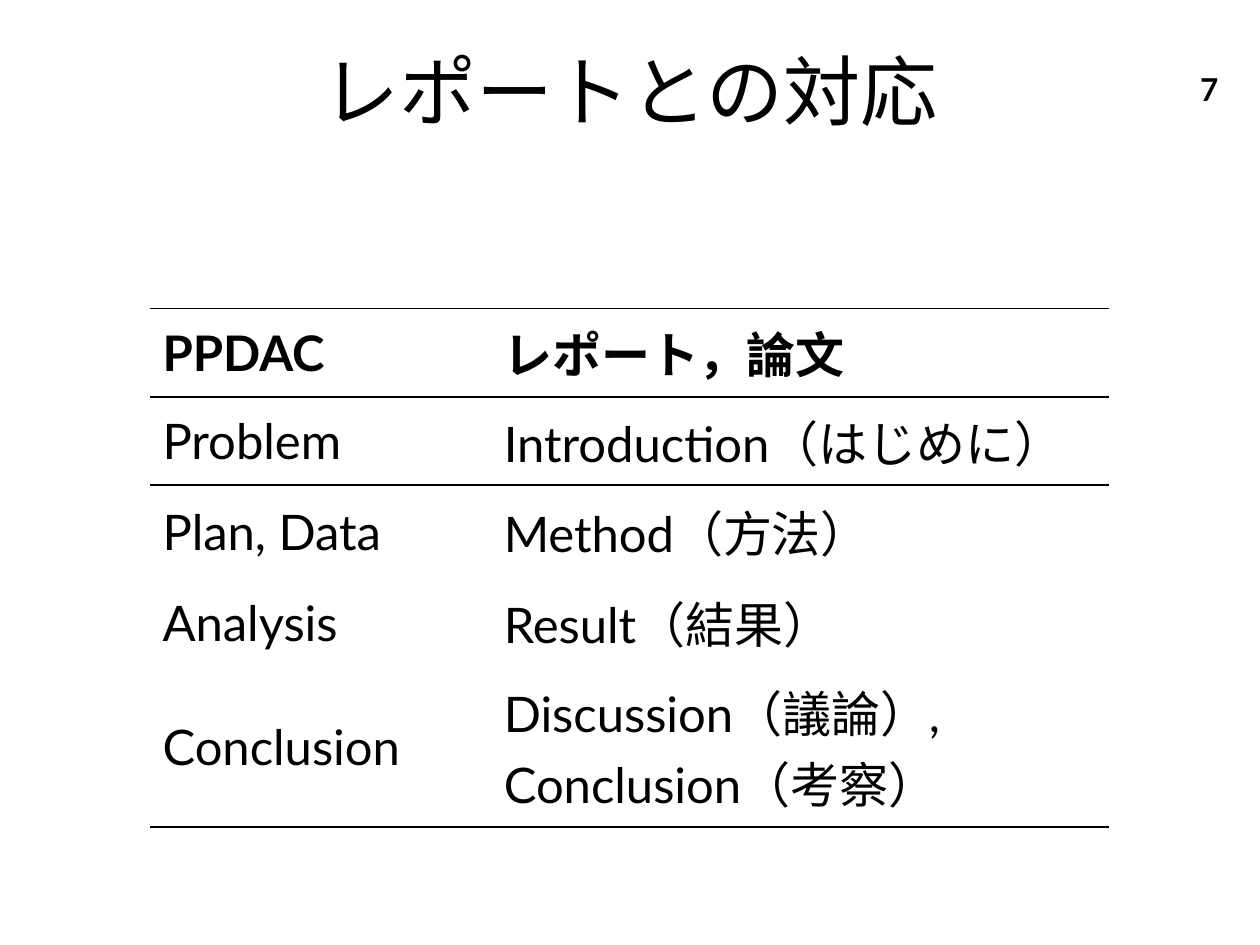
"""Build a slide that matches PPDAC steps to the sections of a report."""
from lxml import etree
from pptx import Presentation
from pptx import util as u
from pptx.dml import color
from pptx.enum import text
from pptx.oxml import ns

Pt = u.Pt
BLACK, WHITE = "000000", "FFFFFF"
PLAIN_STYLE = "{2D5ABB26-0587-4C30-8999-92F81FD0307C}"
ROWS = [
    ("PPDAC", "レポート，論文"),
    ("Problem", "Introduction（はじめに）"),
    ("Plan, Data", "Method（方法）"),
    ("Analysis", "Result（結果）"),
    ("Conclusion", "Discussion（議論）, \vConclusion（考察）"),
]


def rgb(value):
    """Turn a hex string into a colour."""
    return color.RGBColor.from_string(value)


def write(tf, words, size=28, bold=False, align=text.PP_ALIGN.LEFT, font="Lato", fill=BLACK):
    """Write one formatted paragraph, centred vertically, in a text frame."""
    tf.word_wrap = True
    tf.vertical_anchor = text.MSO_ANCHOR.MIDDLE
    p = tf.paragraphs[0]
    p.text = words
    p.alignment = align
    for r in p.runs:
        r.font.name, r.font.size, r.font.bold = font, Pt(size), bold
        r.font.color.rgb = rgb(fill)


def rule(cell, sides, width=1):
    """Draw black rules on the given sides of a cell."""
    tc_pr = cell._tc.get_or_add_tcPr()
    for i, side in enumerate(sides):
        ln = etree.Element(ns.qn("a:ln" + side), w=str(Pt(width)))
        fill = etree.SubElement(ln, ns.qn("a:solidFill"))
        etree.SubElement(fill, ns.qn("a:srgbClr"), val=BLACK)
        tc_pr.insert(i, ln)


def header(s, x, y, w, h):
    """Place the title, with the slide number at its right end."""
    title = s.shapes.title
    title.left, title.top, title.width, title.height = Pt(x), Pt(y), Pt(w), Pt(h)
    write(title.text_frame, "レポートとの対応", size=44, align=text.PP_ALIGN.CENTER)
    number = s.shapes.add_textbox(Pt(x + w - 8.5), Pt(y + 20), Pt(39), Pt(29))
    write(number.text_frame, "7", size=18, bold=True, align=text.PP_ALIGN.CENTER)


def comparison(s, x, y, widths, heights):
    """Place the table, ruled around its header and below its last row."""
    frame = s.shapes.add_table(len(heights), len(widths), Pt(x), Pt(y),
                               Pt(sum(widths)), Pt(sum(heights)))
    table = frame.table
    table.horz_banding = False
    table._tbl.tblPr.find(ns.qn("a:tableStyleId")).text = PLAIN_STYLE
    for col, w in zip(table.columns, widths):
        col.width = Pt(w)
    for row, h in zip(table.rows, heights):
        row.height = Pt(h)
    sides = {0: "TB", 1: "T", len(ROWS) - 1: "B"}
    for i, row in enumerate(ROWS):
        for j, words in enumerate(row):
            cell = table.cell(i, j)
            cell.fill.solid()
            cell.fill.fore_color.rgb = rgb(WHITE)
            cell.vertical_anchor = text.MSO_ANCHOR.MIDDLE
            write(cell.text_frame, words, bold=i == 0)
            rule(cell, sides.get(i, ""))


prs = Presentation()
prs.slide_width, prs.slide_height = Pt(720), Pt(540)
s = prs.slides.add_slide(prs.slide_layouts[5])
header(s, 40, 16.5, 640, 69)
comparison(s, 85.7, 176.3, (195, 353), (50.5, 50.5, 53, 50.5, 92))
prs.save("out.pptx")
